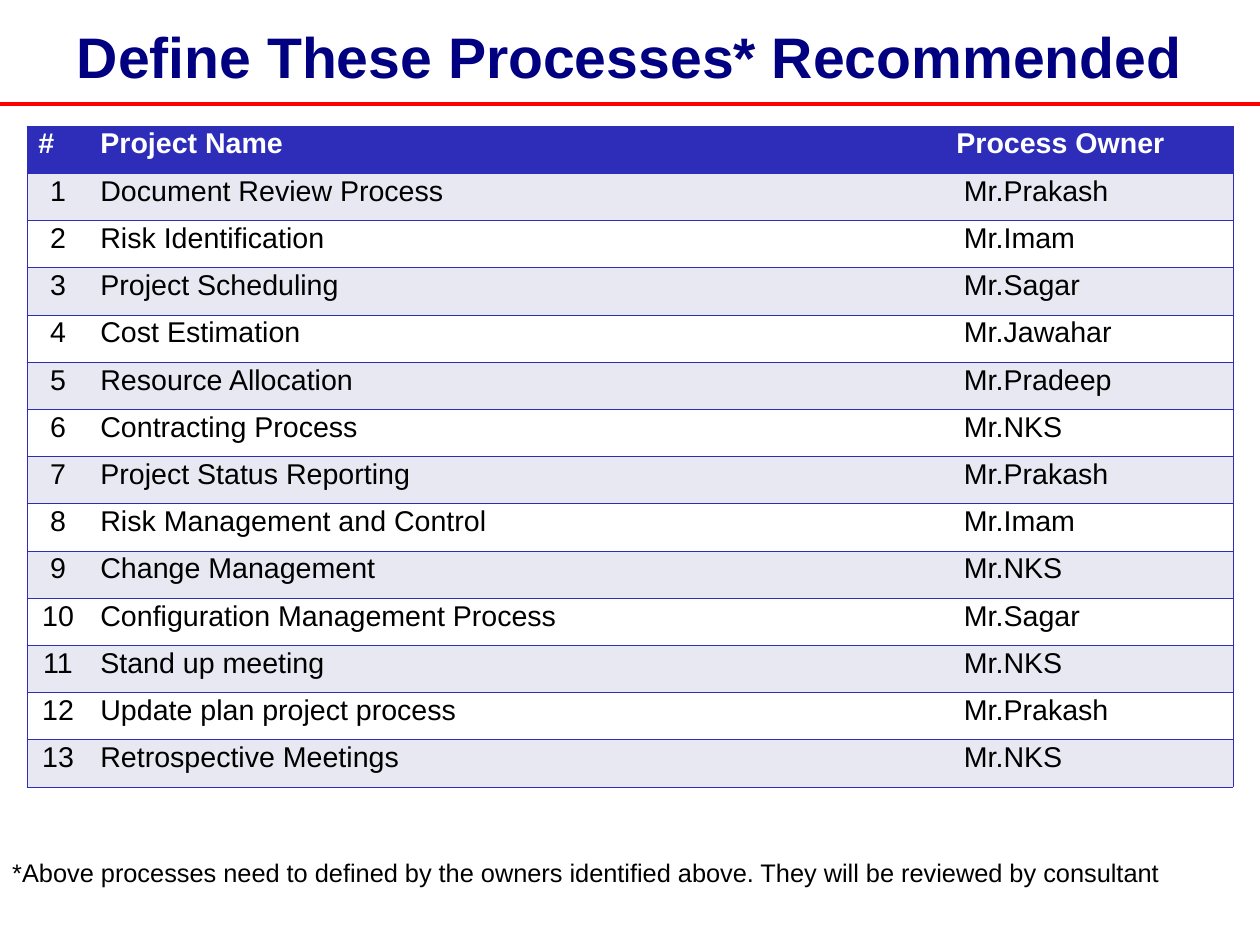
from lxml import etree
from pptx import Presentation
from pptx.dml.color import RGBColor
from pptx.enum.shapes import MSO_CONNECTOR
from pptx.enum.text import MSO_ANCHOR, PP_ALIGN
from pptx.oxml.ns import qn
from pptx.util import Emu, Pt

PX = 8000
COLORS = {
    "title": "000080",
    "rule": "FF0000",
    "header": "2D2DB9",
    "band": "E8E8F3",
    "white": "FFFFFF",
    "text": "000000",
}
HEADINGS = ("#", "Project Name", "Process Owner")
PROCESSES = [
    ("Document Review Process", "Mr.Prakash"),
    ("Risk Identification", "Mr.Imam"),
    ("Project Scheduling", "Mr.Sagar"),
    ("Cost Estimation", "Mr.Jawahar"),
    ("Resource Allocation", "Mr.Pradeep"),
    ("Contracting Process", "Mr.NKS"),
    ("Project Status Reporting", "Mr.Prakash"),
    ("Risk Management and Control", "Mr.Imam"),
    ("Change Management", "Mr.NKS"),
    ("Configuration Management Process", "Mr.Sagar"),
    ("Stand up meeting", "Mr.NKS"),
    ("Update plan project process", "Mr.Prakash"),
    ("Retrospective Meetings", "Mr.NKS"),
]


def write_text(frame, text, size=18, color="text", bold=False,
               align=PP_ALIGN.LEFT, spacing=0.93):
    frame.word_wrap = True
    paragraph = frame.paragraphs[0]
    paragraph.alignment = align
    paragraph.line_spacing = spacing
    run = paragraph.add_run()
    run.text = text
    run.font.name = "Arial"
    run.font.size = Pt(size)
    run.font.bold = bold
    run.font.color.rgb = RGBColor.from_string(COLORS[color])


def set_borders(cell, visible):
    """Draw the sides named in visible (L, R, T, B) and clear the others."""
    properties = cell._tc.get_or_add_tcPr()
    for side in "LRTB":
        line = etree.SubElement(properties, qn(f"a:ln{side}"), w=str(Pt(0.45)))
        if side in visible:
            fill = etree.SubElement(line, qn("a:solidFill"))
            etree.SubElement(fill, qn("a:srgbClr"), val=COLORS["header"])
        else:
            etree.SubElement(line, qn("a:noFill"))


presentation = Presentation()
presentation.slide_width = Emu(1260 * PX)
presentation.slide_height = Emu(945 * PX)
slide = presentation.slides.add_slide(presentation.slide_layouts[6])

# Red rule under the title
rule = slide.shapes.add_connector(
    MSO_CONNECTOR.STRAIGHT, 0, 104 * PX, 1260 * PX, 104 * PX)
rule.line.color.rgb = RGBColor.from_string(COLORS["rule"])
rule.line.width = Pt(2.83)
etree.SubElement(rule._element.spPr, qn("a:effectLst"))

title = slide.shapes.add_textbox(63 * PX, 14 * PX, 1133 * PX, 86 * PX)
title.text_frame.margin_left = title.text_frame.margin_right = 0
title.text_frame.margin_bottom = 0
title.text_frame.vertical_anchor = MSO_ANCHOR.MIDDLE
write_text(title.text_frame, "Define These Processes* Recommended",
           size=36, color="title", bold=True, align=PP_ALIGN.CENTER)

# Process table
rows = [HEADINGS] + [
    (str(number), *process) for number, process in enumerate(PROCESSES, 1)]
table = slide.shapes.add_table(
    len(rows), len(HEADINGS), 27 * PX, 126 * PX, 1206 * PX, 661 * PX).table
table.horz_banding = False
for column, width in zip(table.columns, (62, 856, 288)):
    column.width = Emu(width * PX)

for row_index, values in enumerate(rows):
    is_header = row_index == 0
    if is_header:
        fill_color = "header"
    else:
        fill_color = "band" if row_index % 2 else "white"
    for column_index, value in enumerate(values):
        cell = table.cell(row_index, column_index)
        set_borders(cell, ("LTB", "TB", "RTB")[column_index])
        cell.fill.solid()
        cell.fill.fore_color.rgb = RGBColor.from_string(COLORS[fill_color])
        if column_index == 2 and not is_header:
            cell.margin_left = Emu(19 * PX)
        centered = column_index == 0 and not is_header
        write_text(cell.text_frame, value, spacing=0.87, bold=is_header,
                   color="white" if is_header else "text",
                   align=PP_ALIGN.CENTER if centered else PP_ALIGN.LEFT)

footnote = slide.shapes.add_textbox(1 * PX, 854 * PX, 1191 * PX, 40 * PX)
write_text(footnote.text_frame,
           "*Above processes need to defined by the owners identified above. "
           "They will be reviewed by consultant", size=16)

presentation.save("out.pptx")
